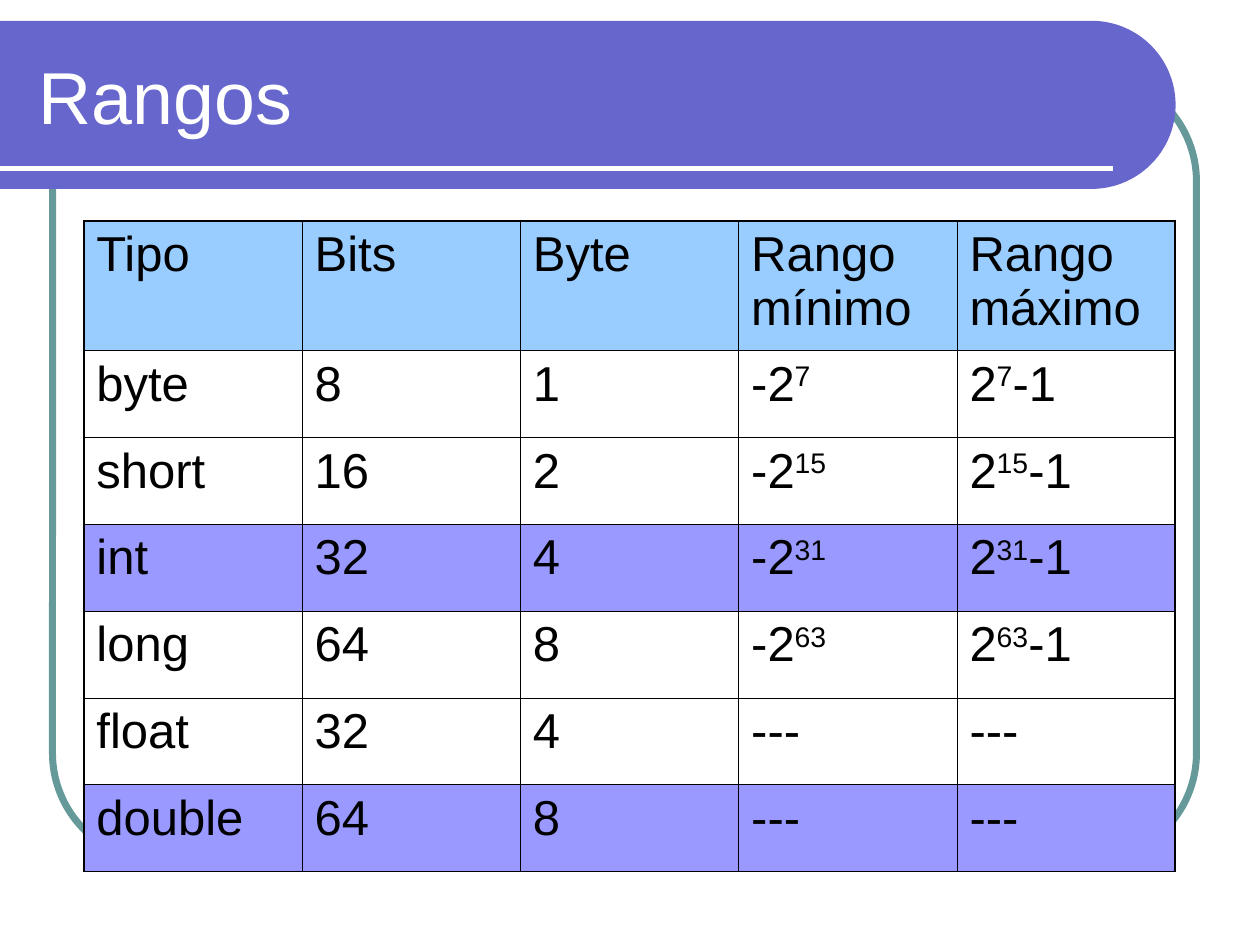
from math import cos, pi, sin

from pptx import Presentation
from pptx.dml.color import RGBColor
from pptx.enum.shapes import MSO_CONNECTOR as Connector, MSO_SHAPE as Shape
from pptx.enum.text import MSO_ANCHOR as Anchor, MSO_AUTO_SIZE as AutoSize, PP_ALIGN as Align
from pptx.oxml import parse_xml
from pptx.oxml.ns import nsdecls
from pptx.util import Cm, Pt

# Content: text between carets is superscript
TITLE = "Rangos"
ROWS = [
    ("Tipo", "Bits", "Byte", "Rango mínimo", "Rango máximo"),
    ("byte", "8", "1", "-2^7^", "2^7^-1"),
    ("short", "16", "2", "-2^15^", "2^15^-1"),
    ("int", "32", "4", "-2^31^", "2^31^-1"),
    ("long", "64", "8", "-2^63^", "2^63^-1"),
    ("float", "32", "4", "---", "---"),
    ("double", "64", "8", "---", "---"),
]

# Style
FONT = "Arial"
BLACK = RGBColor(0x00, 0x00, 0x00)
WHITE = RGBColor(0xFF, 0xFF, 0xFF)
TEAL = RGBColor(0x66, 0x99, 0x99)
INDIGO = RGBColor(0x66, 0x66, 0xCC)
SKY = RGBColor(0x99, 0xCC, 0xFF)
LAVENDER = RGBColor(0x99, 0x99, 0xFF)
ROW_FILLS = {"Tipo": SKY, "int": LAVENDER, "double": LAVENDER}
INNER_BORDER, OUTER_BORDER = Pt(0.45), Pt(1.08)

# Layout in centimetres
BAND_RIGHT, BAND_TOP, BAND_BOTTOM = 23.7, 0.42, 3.81
COLUMN_WIDTH, HEADER_HEIGHT, ROW_HEIGHT = 4.4, 2.62, 1.75
ARC_STEPS = 60


def style_font(font, size, color):
    font.name = FONT
    font.size = Pt(size)
    font.color.rgb = color


def add_frame(slide):
    frame = slide.shapes.add_shape(
        Shape.ROUNDED_RECTANGLE, Cm(1.06), Cm(1.48), Cm(23.06), Cm(15.88))
    frame.adjustments[0] = 0.137
    frame.shadow.inherit = False
    frame.fill.background()
    frame.line.color.rgb = TEAL
    frame.line.width = Pt(4)


def add_band(slide):
    radius = (BAND_BOTTOM - BAND_TOP) / 2
    center_x, center_y = BAND_RIGHT - radius, BAND_TOP + radius
    angles = [pi * step / ARC_STEPS - pi / 2 for step in range(ARC_STEPS + 1)]
    arc = [(Cm(center_x + radius * cos(a)), Cm(center_y + radius * sin(a))) for a in angles]
    builder = slide.shapes.build_freeform(0, Cm(BAND_TOP))
    builder.add_line_segments(arc + [(0, Cm(BAND_BOTTOM))], close=True)
    band = builder.convert_to_shape()
    band.shadow.inherit = False
    band.fill.solid()
    band.fill.fore_color.rgb = INDIGO
    band.line.fill.background()


def add_rule(slide):
    rule = slide.shapes.add_connector(
        Connector.STRAIGHT, 0, Cm(3.39), Cm(22.43), Cm(3.39))
    rule.line.color.rgb = WHITE
    rule.line.width = Pt(3)
    rule.element.spPr.append(parse_xml(f"<a:effectLst {nsdecls('a')}/>"))


def place_title(slide):
    title = slide.shapes.title
    title.left, title.top, title.width, title.height = Cm(0.53), Cm(0.64), Cm(22.28), Cm(2.54)
    frame = title.text_frame
    frame.text = TITLE
    frame.auto_size = AutoSize.NONE
    frame.vertical_anchor = Anchor.MIDDLE
    paragraph = frame.paragraphs[0]
    paragraph.alignment = Align.LEFT
    style_font(paragraph.font, 42, WHITE)
    # Bring the title in front of the band
    title.element.getparent().append(title.element)


def set_borders(cell, outer_sides):
    properties = cell._tc.get_or_add_tcPr()
    for side in "LRTB":
        width = OUTER_BORDER if side in outer_sides else INNER_BORDER
        properties.append(parse_xml(
            f'<a:ln{side} {nsdecls("a")} w="{width}"><a:solidFill>'
            f'<a:srgbClr val="{BLACK}"/></a:solidFill></a:ln{side}>'))


def write_cell(cell, text):
    paragraph = cell.text_frame.paragraphs[0]
    paragraph.space_before = Pt(7)
    style_font(paragraph.font, 28, BLACK)
    for index, part in enumerate(text.split("^")):
        if part:
            run = paragraph.add_run()
            run.text = part
            if index % 2:
                run._r.get_or_add_rPr().set("baseline", "30000")


def add_ranges_table(slide):
    last_row, last_column = len(ROWS) - 1, len(ROWS[0]) - 1
    heights = [HEADER_HEIGHT] + [ROW_HEIGHT] * last_row
    table = slide.shapes.add_table(
        len(ROWS), len(ROWS[0]), Cm(1.69), Cm(4.45),
        Cm(COLUMN_WIDTH * len(ROWS[0])), Cm(sum(heights))).table
    table.first_row = table.horz_banding = False
    for column in table.columns:
        column.width = Cm(COLUMN_WIDTH)
    for r, (values, height) in enumerate(zip(ROWS, heights)):
        table.rows[r].height = Cm(height)
        for c, text in enumerate(values):
            cell = table.cell(r, c)
            edges = {"L": c == 0, "R": c == last_column, "T": r == 0, "B": r == last_row}
            set_borders(cell, [side for side, outer in edges.items() if outer])
            if values[0] in ROW_FILLS:
                cell.fill.solid()
                cell.fill.fore_color.rgb = ROW_FILLS[values[0]]
            else:
                cell.fill.background()
            write_cell(cell, text)


def main():
    presentation = Presentation()
    presentation.slide_width, presentation.slide_height = Cm(25.4), Cm(19.05)
    slide = presentation.slides.add_slide(presentation.slide_layouts.get_by_name("Title Only"))
    add_frame(slide)
    add_band(slide)
    add_rule(slide)
    place_title(slide)
    add_ranges_table(slide)
    presentation.save("out.pptx")


if __name__ == "__main__":
    main()
